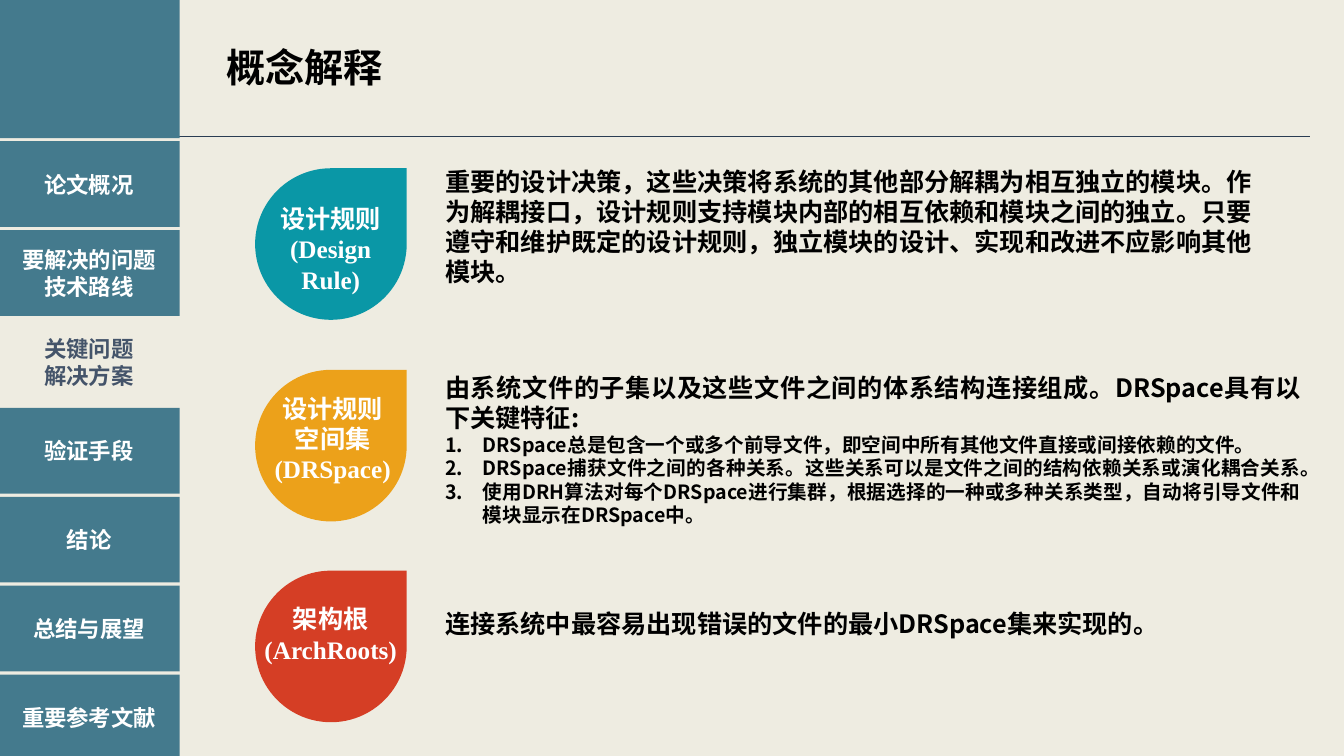
"""Build the concept slide with its side menu and three drop markers."""
from dataclasses import dataclass

from lxml import etree
from pptx import Presentation
from pptx import util as u
from pptx.dml import color
from pptx.enum import shapes, text
from pptx.oxml import ns

HUES = {"page": "EEECE1", "bar": "447A8D", "slate": "44546A", "rule": "2A3D52",
        "teal": "0A97A6", "gold": "ECA11A", "red": "D53E25",
        "white": "FFFFFF", "black": "000000"}
SANS, SERIF = "Noto Sans CJK SC", "Times New Roman"
MID, LEFT, JUST = text.PP_ALIGN.CENTER, text.PP_ALIGN.LEFT, text.PP_ALIGN.JUSTIFY


@dataclass
class Box:
    left: float
    top: float
    width: float
    height: float

    def area(self) -> list[u.Length]:
        return [u.Cm(n) for n in (self.left, self.top, self.width, self.height)]


@dataclass
class Style:
    size: int
    hue: str = "black"
    face: str = SANS
    align: text.PP_ALIGN = JUST


@dataclass
class Term:
    hue: str
    top: float
    name: list[str]
    label: Box
    lead: str
    body: Box
    items: tuple[str, ...] = ()


MENU = [["论文概况"], ["要解决的问题", "技术路线"], ["关键问题", "解决方案"],
        ["验证手段"], ["结论"], ["总结与展望"], ["重要参考文献"]]
ACTIVE = 2
TERMS = [
    Term("teal", 4.24, ["设计规则(Design Rule)"], Box(6.25, 5, 4.17, 1.8),
         "重要的设计决策，这些决策将系统的其他部分解耦为相互独立的模块。"
         "作为解耦接口，设计规则支持模块内部的相互依赖和模块之间的独立。"
         "只要遵守和维护既定的设计规则，独立模块的设计、实现和改进不应影响其他模块。",
         Box(10.97, 4.06, 20.83, 3.33)),
    Term("gold", 9.32, ["设计规则", "空间集(DRSpace)"], Box(6.3, 9.78, 4.17, 2.57),
         "由系统文件的子集以及这些文件之间的体系结构连接组成。DRSpace具有以下关键特征:",
         Box(10.97, 9.25, 22.07, 4.95),
         ("DRSpace总是包含一个或多个前导文件，即空间中所有其他文件直接或间接依赖的文件。",
          "DRSpace捕获文件之间的各种关系。这些关系可以是文件之间的结构依赖关系或演化耦合关系。",
          "使用DRH算法对每个DRSpace进行集群，根据选择的一种或多种关系类型，"
          "自动将引导文件和模块显示在DRSpace中。")),
    Term("red", 14.38, ["架构根(ArchRoots)"], Box(6.2, 15.09, 4.27, 1.8),
         "连接系统中最容易出现错误的文件的最小DRSpace集来实现的。",
         Box(10.97, 15.21, 20.83, 1.02)),
]


def tint(name: str) -> color.RGBColor:
    return color.RGBColor.from_string(HUES[name])


def apply(target, values: dict) -> None:
    for key, value in values.items():
        setattr(target, key, value)


def write(frame, lines: list[str], style: Style, first: bool = True) -> list:
    made = []
    for line in lines:
        para = frame.paragraphs[0] if first else frame.add_paragraph()
        first = False
        para.alignment = style.align
        run = para.add_run()
        run.text = line
        apply(run.font, {"size": u.Pt(style.size), "bold": True, "name": style.face})
        run.font.color.rgb = tint(style.hue)
        props = run.font._element
        props.set("lang", "zh-CN")
        etree.SubElement(props, ns.qn("a:ea"), typeface=SANS)
        made.append(para)
    return made


def number(para) -> None:
    props = para._p.get_or_add_pPr()
    props.set("marL", str(u.Cm(0.95)))
    props.set("indent", str(u.Cm(-0.95)))
    etree.SubElement(props, ns.qn("a:buFont"), typeface="+mj-lt")
    etree.SubElement(props, ns.qn("a:buAutoNum"), type="arabicPeriod")


def note(slide, box: Box, lines: list[str], style: Style):
    frame = slide.shapes.add_textbox(*box.area()).text_frame
    frame.word_wrap = True
    write(frame, lines, style)
    return frame


def block(slide, kind: shapes.MSO_SHAPE, box: Box, hue: str):
    shape = slide.shapes.add_shape(kind, *box.area())
    shape.shadow.inherit = False
    shape.fill.solid()
    shape.fill.fore_color.rgb = tint(hue)
    shape.line.fill.background()
    return shape


def rule(slide) -> None:
    line = slide.shapes.add_connector(shapes.MSO_CONNECTOR.STRAIGHT,
                                      u.Cm(3.43), u.Cm(3.44), u.Cm(33.02), u.Cm(3.44))
    line.line.color.rgb = tint("rule")
    line.line.width = u.Pt(1)
    etree.SubElement(line._element.spPr, ns.qn("a:effectLst"))


def menu(slide) -> None:
    rect = shapes.MSO_SHAPE.RECTANGLE
    block(slide, rect, Box(-0.04, -0.08, 4.57, 3.56), "bar")
    for row, lines in enumerate(MENU):
        fill, ink = ("page", "slate") if row == ACTIVE else ("bar", "white")
        tab = block(slide, rect, Box(-0.04, 3.56 + 2.24 * row, 4.57, 2.16), fill)
        apply(tab.text_frame, {"word_wrap": True,
                               "vertical_anchor": text.MSO_ANCHOR.MIDDLE})
        write(tab.text_frame, lines, Style(16, ink, align=MID))


def entry(slide, term: Term) -> None:
    block(slide, shapes.MSO_SHAPE.TEAR, Box(6.43, term.top, 3.82, 3.82), term.hue)
    frame = note(slide, term.body, [term.lead], Style(18))
    for para in write(frame, list(term.items), Style(14), first=False):
        number(para)
    note(slide, term.label, term.name, Style(18, "white", SERIF, MID))


def main() -> None:
    deck = Presentation()
    apply(deck, {"slide_width": u.Cm(33.87), "slide_height": u.Cm(19.05)})
    slide = deck.slides.add_slide(deck.slide_layouts[6])
    slide.background.fill.solid()
    slide.background.fill.fore_color.rgb = tint("page")
    rule(slide)
    note(slide, Box(5.46, 0.97, 11.48, 1.45), ["概念解释"], Style(28, align=LEFT))
    menu(slide)
    for term in TERMS:
        entry(slide, term)
    deck.save("out.pptx")


if __name__ == "__main__":
    main()
